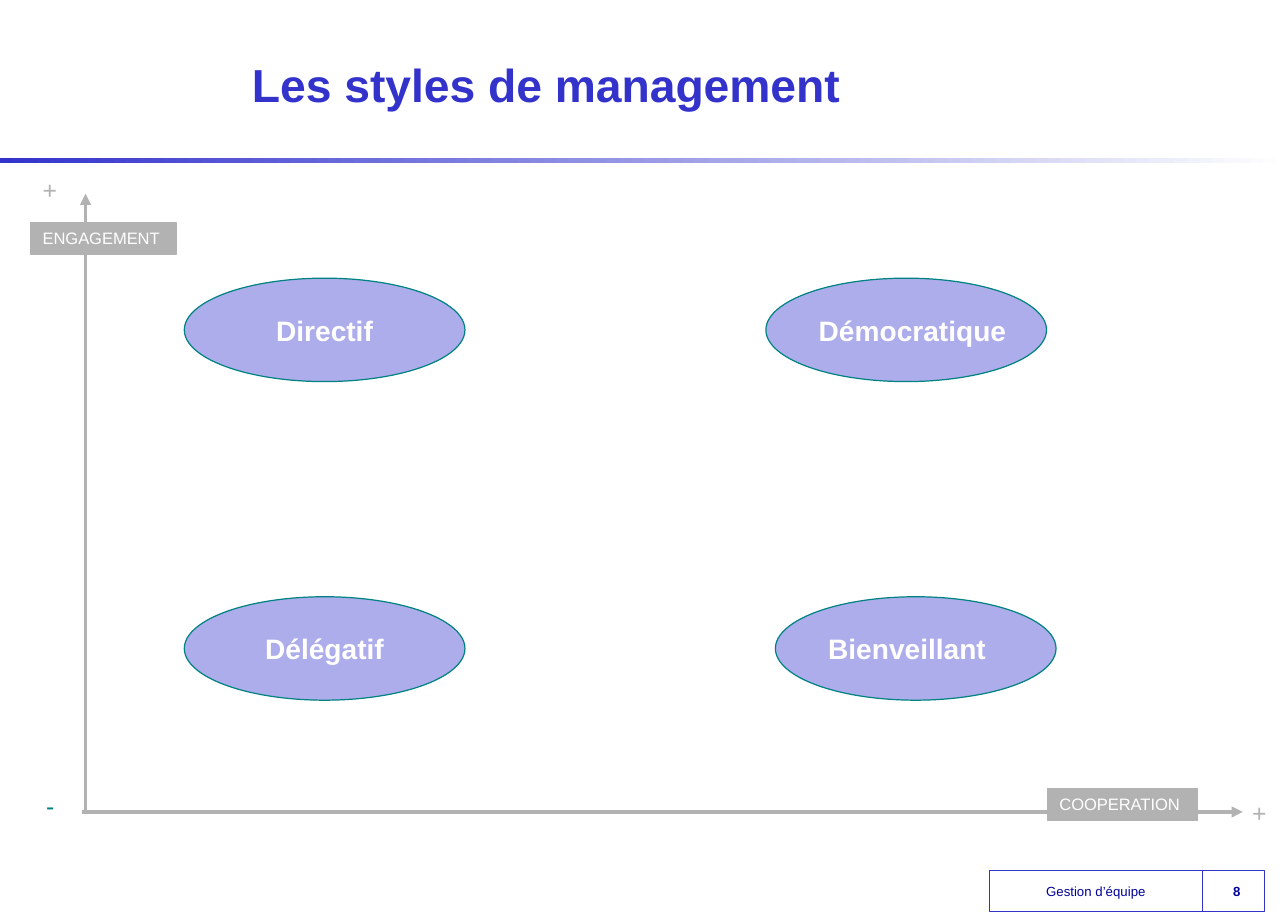
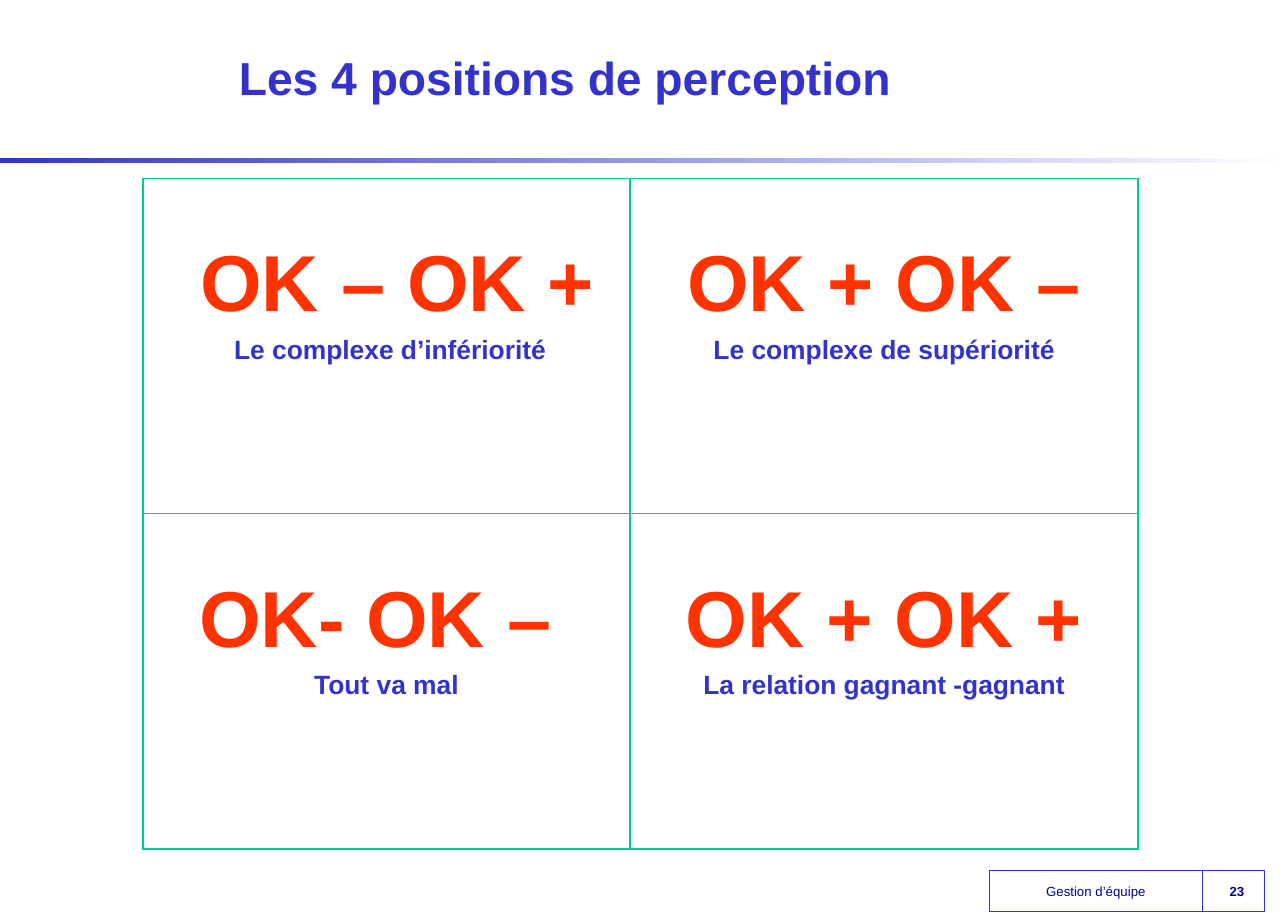
from dataclasses import dataclass
from typing import Any, Optional

import lxml.etree
import pptx
import pptx.dml.color
import pptx.enum.dml
import pptx.enum.shapes
import pptx.enum.text
import pptx.oxml.ns
import pptx.util

Inches = pptx.util.Inches
Pt = pptx.util.Pt
SHAPE = pptx.enum.shapes.MSO_SHAPE
ALIGN = pptx.enum.text.PP_ALIGN
ANCHOR = pptx.enum.text.MSO_ANCHOR
qn = pptx.oxml.ns.qn

FONT = "Arial"
COLORS = {
    "blue": "3333CC",
    "navy": "000099",
    "lilac": "ADADEB",
    "teal": "008282",
    "green": "00CC99",
    "grey": "B2B2B2",
    "red": "FF3300",
    "white": "FFFFFF",
}
WIDTH, HEIGHT = 10.83, 7.68
INSETS = (0.1, 0.05, 0.1, 0.05)
FOOTER_INSETS = (0.04, 0.05, 0.04, 0.05)


@dataclass(frozen=True)
class Box:
    x: float
    y: float
    w: float
    h: float


@dataclass(frozen=True)
class Label:
    text: str
    box: Box
    color: str = "white"
    align: Any = ALIGN.LEFT


@dataclass(frozen=True)
class Position:
    formula: str
    meaning: str


AXIS_TAGS = [
    Label("ENGAGEMENT", Box(0.26, 1.87, 1.22, 0.27)),
    Label("COOPERATION", Box(8.81, 6.63, 1.26, 0.27)),
]
AXIS_SIGNS = [
    Label("+", Box(0.26, 1.42, 0.32, 0.35), "grey"),
    Label("-", Box(0.29, 6.6, 0.27, 0.35), "teal"),
    Label("+", Box(10.43, 6.66, 0.32, 0.35), "grey"),
]
STYLES = [
    Label("Directif", Box(1.55, 2.34, 2.36, 0.87), align=ALIGN.CENTER),
    Label("Démocratique", Box(6.44, 2.34, 2.36, 0.87)),
    Label("Délégatif", Box(1.55, 5.02, 2.36, 0.87), align=ALIGN.CENTER),
    Label("Bienveillant", Box(6.52, 5.02, 2.36, 0.87)),
]
POSITIONS = [
    [
        Position(" OK – OK +", " Le complexe d’infériorité"),
        Position("OK + OK –", "Le complexe de supériorité"),
    ],
    [
        Position("OK- OK – ", "Tout va mal"),
        Position("OK + OK +", "La relation gagnant -gagnant"),
    ],
]


def rgb(name: str) -> pptx.dml.color.RGBColor:
    return pptx.dml.color.RGBColor.from_string(COLORS[name])


def place(box: Box) -> tuple:
    return Inches(box.x), Inches(box.y), Inches(box.w), Inches(box.h)


def write(tf: Any, text: str, *, size: float, color: str, bold: bool = False,
          align: Any = ALIGN.LEFT, before: float = 0) -> None:
    p = tf.add_paragraph() if tf.text else tf.paragraphs[0]
    p.alignment = align
    p.space_before = Pt(before)
    r = p.add_run()
    r.text = text
    r.font.name = FONT
    r.font.size = Pt(size)
    r.font.bold = bold
    r.font.color.rgb = rgb(color)


def frame(sp: Any, *, wrap: bool = True, anchor: Any = ANCHOR.MIDDLE,
          insets: tuple = INSETS) -> Any:
    tf = sp.text_frame
    tf.word_wrap = wrap
    tf.vertical_anchor = anchor
    tf.margin_left, tf.margin_top, tf.margin_right, tf.margin_bottom = map(Inches, insets)
    return tf


def add_shape(s: Any, kind: Any, box: Box, *, fill: Optional[str] = None,
              line: Optional[str] = None) -> Any:
    sp = s.shapes.add_shape(kind, *place(box))
    sp.shadow.inherit = False
    if fill:
        sp.fill.solid()
        sp.fill.fore_color.rgb = rgb(fill)
    else:
        sp.fill.background()
    if line:
        sp.line.color.rgb = rgb(line)
        sp.line.width = Pt(0.75)
    else:
        sp.line.fill.background()
    return sp


def add_axis(s: Any, x1: float, y1: float, x2: float, y2: float) -> None:
    cx = s.shapes.add_connector(pptx.enum.shapes.MSO_CONNECTOR.STRAIGHT,
                                Inches(x1), Inches(y1), Inches(x2), Inches(y2))
    cx.line.color.rgb = rgb("grey")
    cx.line.width = Pt(2.25)
    ln = cx.line._get_or_add_ln()
    lxml.etree.SubElement(ln, qn("a:tailEnd"), type="triangle")
    lxml.etree.SubElement(cx._element.spPr, qn("a:effectLst"))


def add_slide(prs: Any, title: str, title_box: Box, number: int) -> Any:
    s = prs.slides.add_slide(prs.slide_layouts[6])
    band = add_shape(s, SHAPE.RECTANGLE, Box(0, 1.33, WIDTH, 0.04))
    band.fill.gradient()
    band.fill.gradient_angle = 0
    for stop, color, position in zip(band.fill.gradient_stops, ("blue", "white"), (0, 1)):
        stop.color.rgb = rgb(color)
        stop.position = position

    sp = add_shape(s, SHAPE.RECTANGLE, Box(8.32, 7.32, 1.79, 0.35), line="blue")
    write(frame(sp, insets=FOOTER_INSETS), "Gestion d’équipe",
          size=8, color="navy", align=ALIGN.CENTER)
    add_shape(s, SHAPE.RECTANGLE, Box(10.11, 7.32, 0.52, 0.35), line="blue")
    sp = s.shapes.add_textbox(*place(Box(10.14, 7.31, 0.52, 0.37)))
    write(frame(sp, insets=FOOTER_INSETS), str(number),
          size=8, color="navy", bold=True, align=ALIGN.CENTER)

    sp = s.shapes.add_textbox(*place(title_box))
    write(frame(sp), title, size=28, color="blue", bold=True)
    return s


def set_borders(cell: Any, color: str, width: float) -> None:
    tcPr = cell._tc.get_or_add_tcPr()
    for i, side in enumerate(("lnL", "lnR", "lnT", "lnB")):
        ln = lxml.etree.Element(qn(f"a:{side}"), w=str(Pt(width)))
        fill = lxml.etree.SubElement(ln, qn("a:solidFill"))
        lxml.etree.SubElement(fill, qn("a:srgbClr"), val=COLORS[color])
        tcPr.insert(i, ln)


def build_styles(prs: Any) -> None:
    s = add_slide(prs, "Les styles de management", Box(2.02, 0.41, 8.44, 0.59), 8)
    add_axis(s, 0.72, 6.83, 0.72, 1.63)
    add_axis(s, 0.69, 6.83, 10.45, 6.83)
    for tag in AXIS_TAGS:
        sp = add_shape(s, SHAPE.RECTANGLE, tag.box, fill="grey", line="grey")
        write(frame(sp, wrap=False, anchor=ANCHOR.TOP), tag.text, size=10, color=tag.color)
    for sign in AXIS_SIGNS:
        sp = s.shapes.add_textbox(*place(sign.box))
        write(frame(sp, wrap=False, anchor=ANCHOR.TOP), sign.text, size=15, color=sign.color)
    for style in STYLES:
        sp = add_shape(s, SHAPE.OVAL, style.box, fill="lilac", line="teal")
        write(frame(sp, wrap=False), style.text, size=17, color=style.color,
              bold=True, align=style.align)


def build_positions(prs: Any) -> None:
    s = add_slide(prs, "Les 4 positions de perception", Box(1.91, 0.06, 8.62, 1.18), 23)
    table = s.shapes.add_table(2, 2, *place(Box(1.2, 1.5, 8.37, 5.64))).table
    table.first_row = False
    table.horz_banding = False
    for column, width in zip(table.columns, (4.1, 4.27)):
        column.width = Inches(width)
    for row, positions in zip(table.rows, POSITIONS):
        row.height = Inches(2.82)
        for cell, position in zip(row.cells, positions):
            cell.fill.background()
            cell.margin_top = Inches(0.52)
            set_borders(cell, "green", 1.08)
            write(cell.text_frame, position.formula, size=48, color="red",
                  bold=True, align=ALIGN.CENTER)
            write(cell.text_frame, position.meaning, size=16, color="blue",
                  bold=True, align=ALIGN.CENTER, before=4)


def main() -> None:
    prs = pptx.Presentation()
    prs.slide_width = Inches(WIDTH)
    prs.slide_height = Inches(HEIGHT)
    build_styles(prs)
    build_positions(prs)
    prs.save("out.pptx")


if __name__ == "__main__":
    main()
